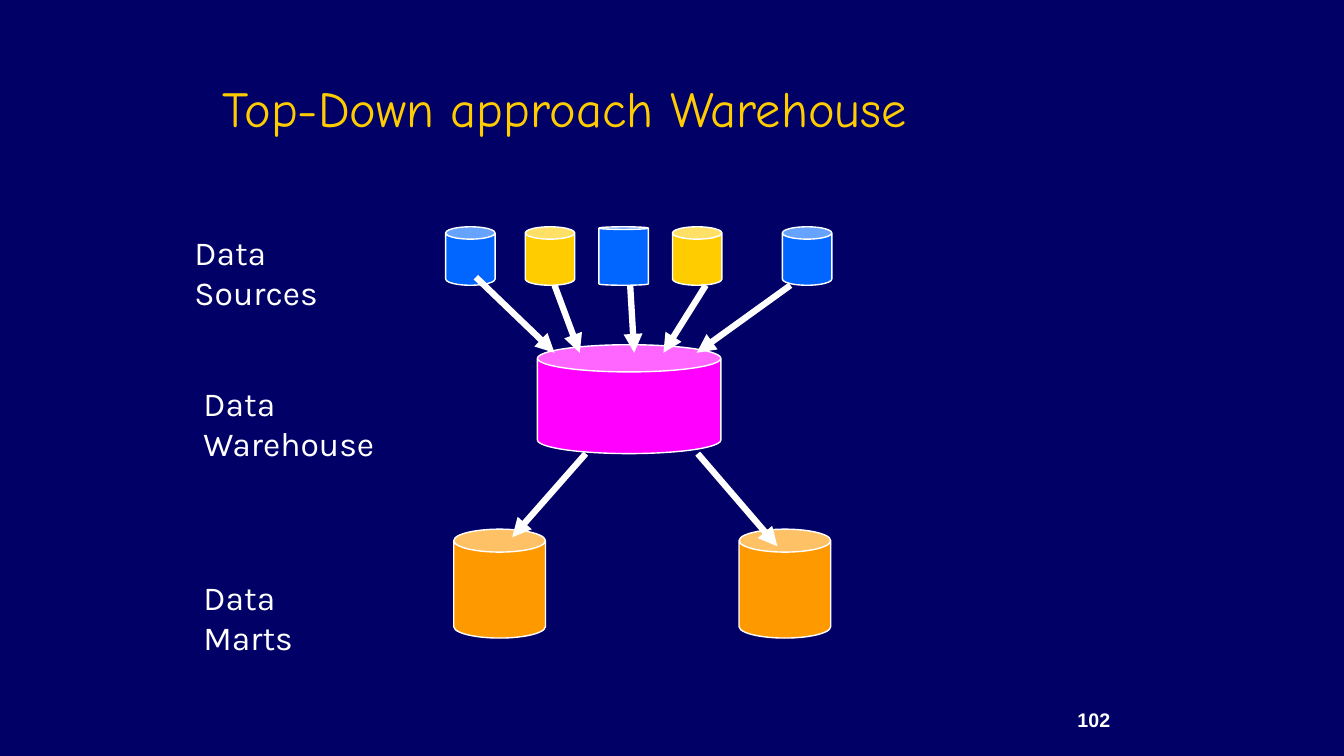
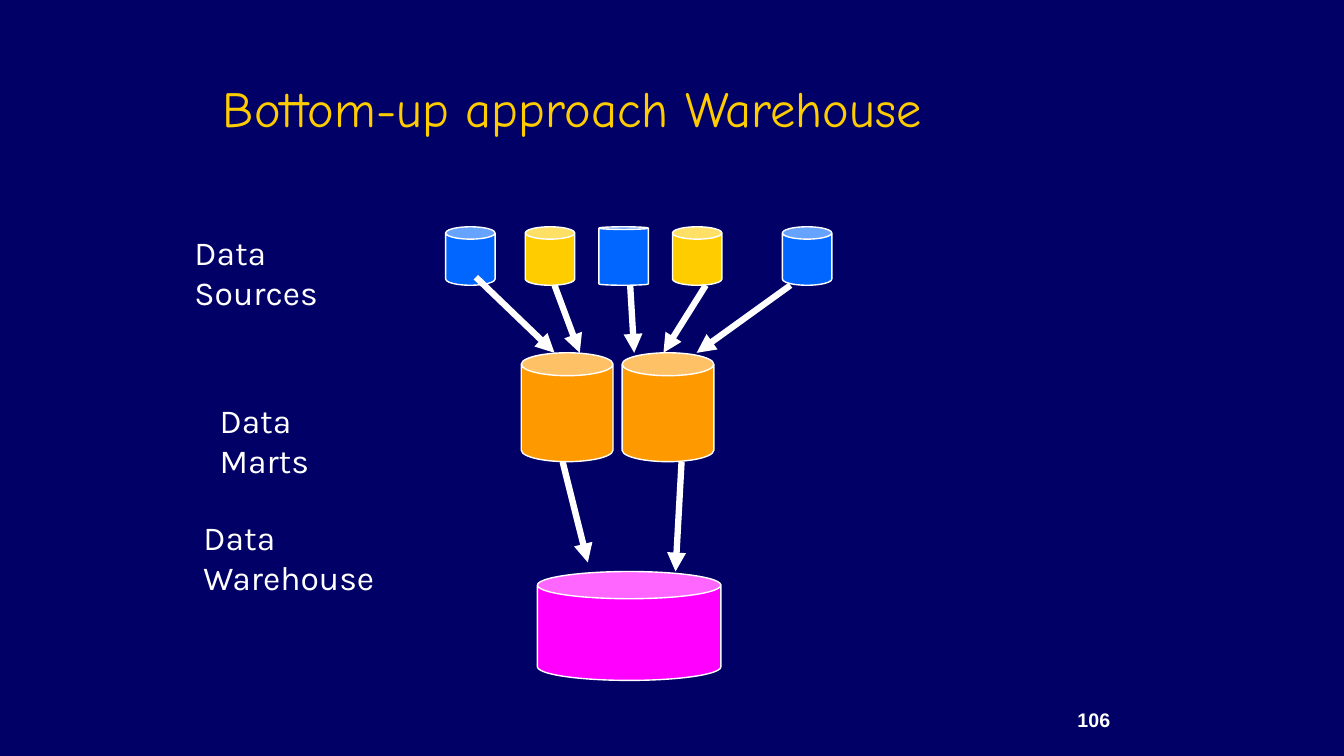
from dataclasses import dataclass

from lxml import etree
from pptx import Presentation
from pptx.dml.color import RGBColor
from pptx.enum.shapes import MSO_CONNECTOR, MSO_SHAPE
from pptx.enum.text import MSO_ANCHOR, MSO_AUTO_SIZE, PP_ALIGN
from pptx.oxml.ns import qn
from pptx.util import Inches, Pt

CAN = MSO_SHAPE.CAN
STRAIGHT = MSO_CONNECTOR.STRAIGHT
TOP, BOTTOM = MSO_ANCHOR.TOP, MSO_ANCHOR.BOTTOM
LEFT, RIGHT = PP_ALIGN.LEFT, PP_ALIGN.RIGHT
NO_FIT, GROW = MSO_AUTO_SIZE.NONE, MSO_AUTO_SIZE.SHAPE_TO_FIT_TEXT


@dataclass(frozen=True)
class Theme:
    background: RGBColor = RGBColor.from_string("000066")
    title: RGBColor = RGBColor.from_string("FFCC00")
    white: RGBColor = RGBColor.from_string("FFFFFF")
    blue: RGBColor = RGBColor.from_string("0066FF")
    yellow: RGBColor = RGBColor.from_string("FFCC00")
    mart: RGBColor = RGBColor.from_string("FF9900")
    warehouse: RGBColor = RGBColor.from_string("FF00FF")
    title_font: str = "Comic Neue"
    label_font: str = "Karla"
    number_font: str = "Arial"
    title_size: float = 36
    label_size: float = 24
    number_size: float = 14
    outline: float = 1
    arrow: float = 4.5


THEME = Theme()

SOURCE_SIZE = (0.49, 0.58)
MART_SIZE = (0.91, 1.08)
WAREHOUSE_SIZE = (1.82, 1.08)
WAREHOUSE_LEFT = 5.33
SOURCE_TOP = 2.25
ROUND, FLAT = 0.25, 0.054
LABEL_HEIGHT = 0.5

# left, colour, depth of the lid
SOURCES = [
    (4.42, THEME.blue, ROUND),
    (5.21, THEME.yellow, ROUND),
    (5.94, THEME.blue, FLAT),
    (6.67, THEME.yellow, ROUND),
    (7.76, THEME.blue, ROUND),
]
# start x, start y, end x, end y
SOURCE_ARROWS = [
    (4.72, 2.75, 5.5, 3.5),
    (5.5, 2.83, 5.75, 3.5),
    (6.25, 2.83, 6.29, 3.5),
    (7, 2.83, 6.58, 3.5),
    (7.84, 2.83, 6.91, 3.5),
]
SOURCES_LABEL = ("Data Sources", 1.83, 2.25, 2.14)

PAGES = [
    {
        "title": "Top-Down approach Warehouse",
        "number": "102",
        "marts": [(4.5, 5.25), (7.33, 5.25)],
        "warehouse_top": 3.42,
        "arrows": [(5.81, 4.5, 5.08, 5.33), (6.92, 4.5, 7.71, 5.42)],
        "labels": [("Data Warehouse", 1.92, 3.75, 2.64),
                   ("Data Marts", 1.92, 5.67, 1.8)],
    },
    {
        "title": "Bottom-up approach Warehouse",
        "number": "106",
        "marts": [(5.17, 3.5), (6.17, 3.5)],
        "warehouse_top": 5.67,
        "arrows": [(5.58, 4.58, 5.83, 5.58), (6.76, 4.58, 6.7, 5.67)],
        "labels": [("Data Marts", 2.08, 3.92, 1.8),
                   ("Data Warehouse", 1.92, 5.08, 2.64)],
    },
]


def write(box, text, *, font, size, color=THEME.white, bold=False,
          align=LEFT, anchor=TOP, fit=NO_FIT):
    frame = box.text_frame
    frame.word_wrap = True
    frame.auto_size = fit
    frame.vertical_anchor = anchor
    para = frame.paragraphs[0]
    para.alignment = align
    span = para.add_run()
    span.text = text
    span.font.name = font
    span.font.size = Pt(size)
    span.font.bold = bold
    span.font.color.rgb = color


def add_can(page, left, top, size, color, lid=ROUND):
    can = page.shapes.add_shape(CAN, *map(Inches, (left, top, *size)))
    can.adjustments[0] = lid
    can.shadow.inherit = False
    can.fill.solid()
    can.fill.fore_color.rgb = color
    can.line.color.rgb = THEME.white
    can.line.width = Pt(THEME.outline)


deck = Presentation()
deck.slide_width, deck.slide_height = Inches(13.33), Inches(7.5)
master_fill = deck.slide_master.background.fill
master_fill.solid()
master_fill.fore_color.rgb = THEME.background

layout = deck.slide_layouts.get_by_name("Title Only")
title_area = layout.placeholders[0]
title_area.left, title_area.top = Inches(2.11), Inches(0.25)
title_area.width, title_area.height = Inches(8.5), Inches(1.17)

for content in PAGES:
    page = deck.slides.add_slide(layout)
    write(page.shapes.title, content["title"], font=THEME.title_font,
          size=THEME.title_size, color=THEME.title, anchor=BOTTOM)

    number = page.shapes.add_textbox(*map(Inches, (9.03, 6.81, 2.08, 0.5)))
    write(number, content["number"], font=THEME.number_font,
          size=THEME.number_size, bold=True, align=RIGHT, anchor=BOTTOM)

    for left, color, lid in SOURCES:
        add_can(page, left, SOURCE_TOP, SOURCE_SIZE, color, lid)
    for left, top in content["marts"]:
        add_can(page, left, top, MART_SIZE, THEME.mart)
    add_can(page, WAREHOUSE_LEFT, content["warehouse_top"],
            WAREHOUSE_SIZE, THEME.warehouse)

    for ends in SOURCE_ARROWS + content["arrows"]:
        arrow = page.shapes.add_connector(STRAIGHT, *map(Inches, ends))
        arrow.line.color.rgb = THEME.white
        arrow.line.width = Pt(THEME.arrow)
        properties = arrow.element.spPr
        head = etree.SubElement(properties.find(qn("a:ln")), qn("a:tailEnd"))
        head.set("type", "triangle")
        etree.SubElement(properties, qn("a:effectLst"))

    for text, left, top, width in [SOURCES_LABEL] + content["labels"]:
        label = page.shapes.add_textbox(
            *map(Inches, (left, top, width, LABEL_HEIGHT)))
        write(label, text, font=THEME.label_font, size=THEME.label_size,
              fit=GROW)

deck.save("out.pptx")
